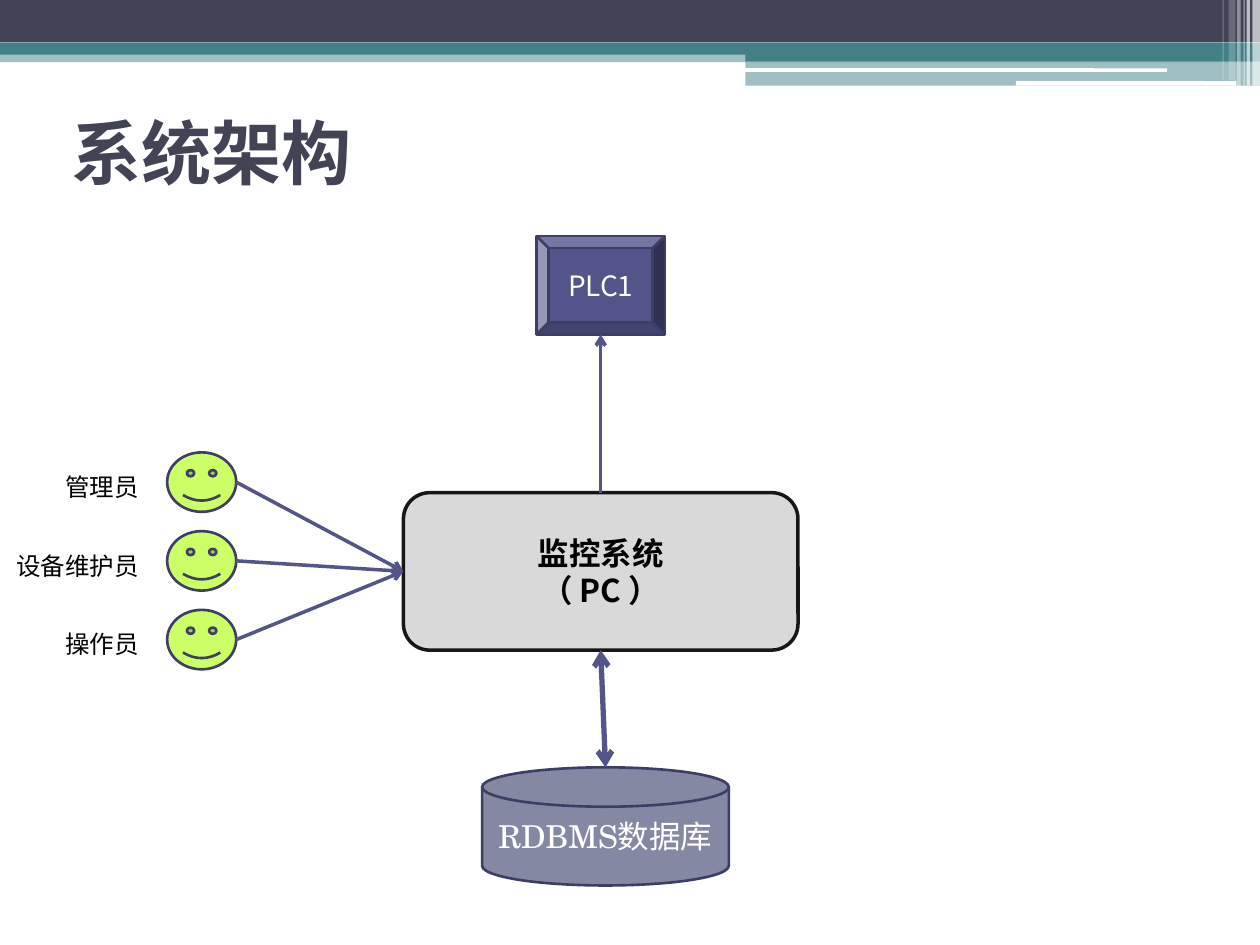
from dataclasses import dataclass

from lxml import etree
from pptx import Presentation
from pptx import util as u
from pptx.dml.color import RGBColor
from pptx.enum import shapes, text
from pptx.oxml.ns import qn

Kind = shapes.MSO_SHAPE
Side = text.PP_ALIGN
TOP, LEFT, BOTTOM = 0, 1, 2


@dataclass(frozen=True)
class Theme:
    dark: str = "424456"
    teal: str = "438086"
    white: str = "FFFFFF"
    black: str = "000000"
    grey: str = "D9D9D9"
    disk: str = "8588A2"
    blue: str = "53548A"
    edge: str = "3D3E66"
    lime: str = "CCFF66"
    sans: str = "Noto Sans CJK SC"
    serif: str = "TeX Gyre Schola"
    title: int = 40
    large: int = 18
    mid: int = 16
    small: int = 14


class Deck:
    def __init__(self, theme):
        self.theme = theme
        self.prs = Presentation()
        self.prs.slide_width, self.prs.slide_height = u.Pt(720), u.Pt(540)
        self.slide = self.prs.slides.add_slide(self.prs.slide_layouts[6])

    def fade(self, fill, alpha):
        """Set the opacity, in percent, of a solid fill."""
        tone = fill.find(".//" + qn("a:srgbClr"))
        etree.SubElement(tone, qn("a:alpha"), val=str(alpha * 1000))

    def shape(self, kind, x, y, w, h, fill, alpha=100, edge=None, width=1.5):
        item = self.slide.shapes.add_shape(kind, *map(u.Pt, (x, y, w, h)))
        item.shadow.inherit = False
        item.fill.solid()
        item.fill.fore_color.rgb = RGBColor.from_string(fill)
        if alpha < 100:
            self.fade(item.element.spPr.find(qn("a:solidFill")), alpha)
        if edge:
            item.line.color.rgb = RGBColor.from_string(edge)
            item.line.width = u.Pt(width)
        else:
            item.line.fill.background()
        return item

    def label(self, item, words, size, color, bold=False, font=None, side=Side.CENTER):
        frame = item.text_frame
        frame.word_wrap = True
        frame.vertical_anchor = text.MSO_ANCHOR.MIDDLE
        frame.text = words
        for par in frame.paragraphs:
            par.alignment = side
            par.font.size, par.font.bold = u.Pt(size), bold
            par.font.color.rgb = RGBColor.from_string(color)
            par.font.name = font or self.theme.sans
            props = par._p.pPr.find(qn("a:defRPr"))
            etree.SubElement(props, qn("a:ea"), typeface=self.theme.sans)
        return frame

    def title(self, words, x, y, w, h):
        box = self.slide.shapes.add_textbox(*map(u.Pt, (x, y, w, h)))
        self.label(box, words, self.theme.title, self.theme.dark, True, side=Side.LEFT)

    def line(self, start, end, width=2, ends=("tailEnd",)):
        item = self.slide.shapes.add_connector(
            shapes.MSO_CONNECTOR.STRAIGHT, *map(u.Pt, (*start, *end)))
        item.line.color.rgb = RGBColor.from_string(self.theme.blue)
        item.line.width = u.Pt(width)
        stroke = item.element.spPr.find(qn("a:ln"))
        for tip in ends:
            etree.SubElement(stroke, qn("a:" + tip), type="arrow")
        etree.SubElement(item.element.spPr, qn("a:effectLst"))
        return item


def banner(deck):
    look = deck.theme
    # Bands
    for x, y, w, h, color, alpha in (
        (0, 29, 720, 6.5, look.teal, 50),
        (0, 0, 720, 24.3, look.dark, 100),
        (0, 24.3, 720, 7, look.teal, 100),
        (426, 28, 294, 7, look.teal, 100),
        (426, 35, 294, 14, look.teal, 50),
    ):
        deck.shape(Kind.RECTANGLE, x, y, w, h, color, alpha)
    # White strips
    for x, y, w, h in ((425.5, 39, 241.5, 2), (580.5, 46.3, 126, 2.7)):
        deck.shape(Kind.ROUNDED_RECTANGLE, x, y, w, h, look.white)
    # Bars at the right edge
    for x, w, h, alpha in (
        (715.6, 4.4, 49, 65), (712.3, 2, 49, 65), (710.6, 0.7, 49, 60),
        (707, 2, 49, 40), (702, 4, 46, 20), (698.6, 0.7, 46, 30),
    ):
        deck.shape(Kind.RECTANGLE, x, 0, w, h, look.white, alpha)


def diagram(deck):
    look = deck.theme
    mid, base = 343.25, 326.5

    # Central system
    hub = deck.shape(Kind.ROUNDED_RECTANGLE, 230.5, 281.5, 225.5, 90, look.grey,
                     edge=look.black, width=2)
    deck.fade(hub.element.spPr.find(qn("a:ln")), 90)
    deck.label(hub, "监控系统\n（ PC ）", look.large, look.black, True)

    # Database
    disk = deck.shape(Kind.FLOWCHART_MAGNETIC_DISK, 275.5, 438.5, 141, 67.5,
                      look.disk, edge=look.edge)
    deck.label(disk, "RDBMS数据库", look.large, look.white, font=look.serif)
    link = deck.line((mid, 371.5), (346, 438.5), 3, ("headEnd", "tailEnd"))
    link.begin_connect(hub, BOTTOM)

    # Controller
    plc = deck.shape(Kind.BEVEL, 306.5, 134.75, 73.5, 56.5, look.blue, edge=look.edge)
    deck.label(plc, "PLC1", look.mid, look.white)
    deck.line((mid, 242), (mid, 191.25))
    deck.line((mid, 242), (mid, 281.5), ends=()).end_connect(hub, TOP)

    # Users
    right = 90
    for row, (role, x) in enumerate((("管理员", 22), ("设备维护员", 0), ("操作员", 17))):
        y = 258.5 + 45 * row
        deck.shape(Kind.SMILEY_FACE, 95.5, y, 39.5, 34, look.lime, edge=look.edge)
        tag = deck.shape(Kind.RECTANGLE, x, y + 5.5, right - x, 28, look.white)
        frame = deck.label(tag, role, look.small, look.black, side=Side.RIGHT)
        frame.margin_left, frame.margin_right = u.Pt(0), u.Pt(10.5)
        deck.line((135, y + 17), (230.5, base)).end_connect(hub, LEFT)


def main():
    deck = Deck(Theme())
    banner(deck)
    deck.title("系统架构", 34, 44.5, 648, 84)
    diagram(deck)
    deck.prs.save("out.pptx")


if __name__ == "__main__":
    main()
